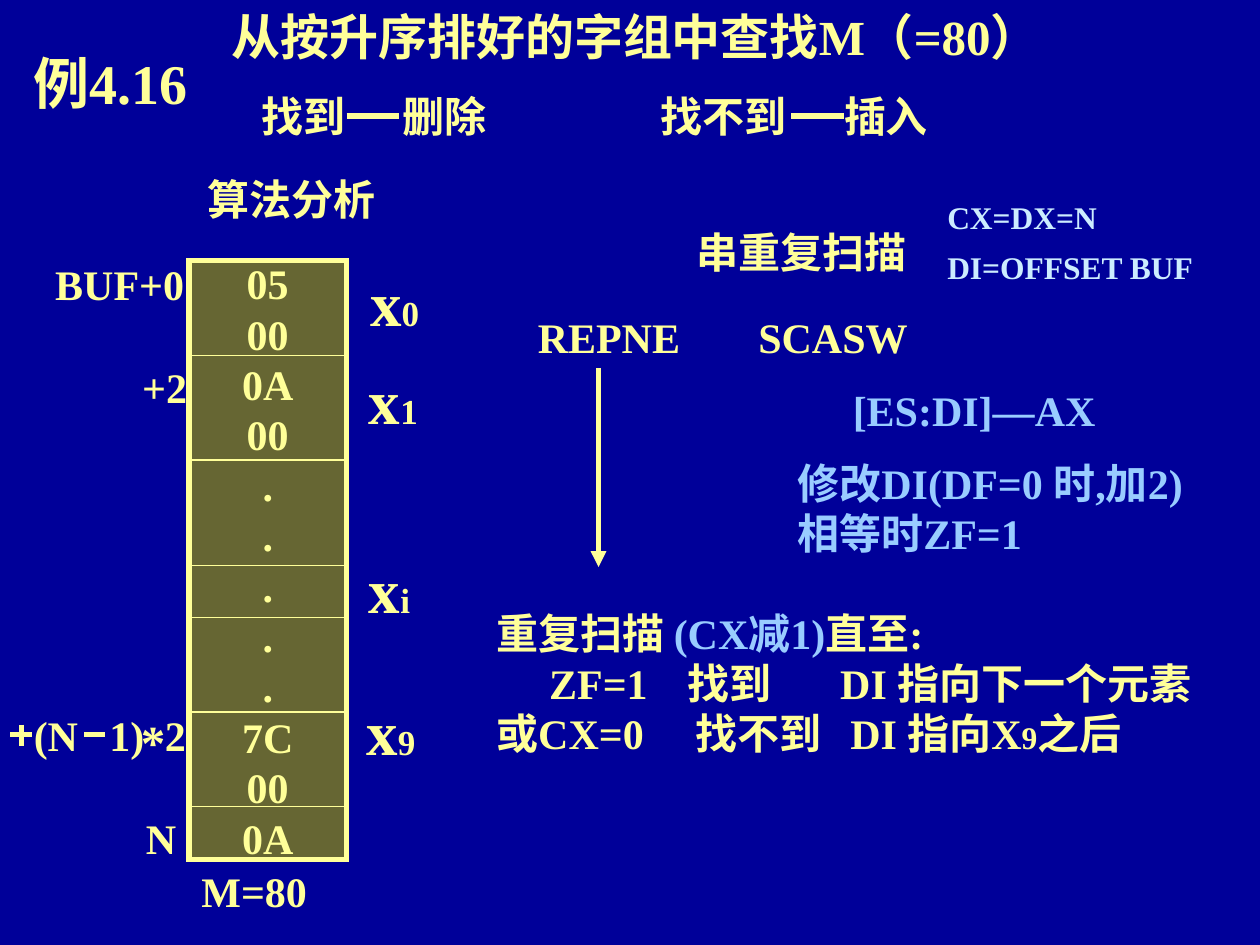
from dataclasses import dataclass
from pptx import Presentation
from pptx.dml.color import RGBColor as RGB
from pptx.enum.shapes import MSO_CONNECTOR as Link, MSO_SHAPE as Shape
from pptx.enum.text import MSO_ANCHOR as Anchor, PP_ALIGN as Align
from pptx.oxml.xmlchemy import OxmlElement as Element
from pptx.util import Inches, Pt


@dataclass(frozen=True)
class Theme:
    """Colours, type sizes and line widths of the slide."""
    font: str = "Times New Roman"
    back: str = "000099"
    main: str = "FFFF99"
    blue: str = "99CCFF"
    pale: str = "CCECFF"
    cell: str = "666633"
    note: int = 18
    sub: int = 20
    body: int = 24
    head: int = 28
    title: int = 32
    mark: int = 36
    thin: float = 0.75
    bold: float = 3


@dataclass(frozen=True)
class Box:
    """A place on the slide, in inches."""
    x: float
    y: float
    w: float
    h: float

    def sub(self, x, y, w, h):
        """Return a box placed relative to this one."""
        return Box(self.x + x, self.y + y, w, h)

    def size(self):
        """Return left, top, width and height as lengths."""
        return [Inches(v) for v in (self.x, self.y, self.w, self.h)]


T = Theme()


def add_tabs(para, stops):
    """Give a paragraph left tab stops, in inches."""
    tabs = Element("a:tabLst")
    for stop in stops:
        tab = Element("a:tab")
        tab.set("pos", str(Inches(stop)))
        tab.set("algn", "l")
        tabs.append(tab)
    para._p.get_or_add_pPr().append(tabs)


def fill_text(frame, rows, size=T.body, color=T.main, align=Align.LEFT,
              anchor=Anchor.TOP, tabs=(), lead=None, gap=None):
    """Write rows of runs; a run is text or (text, size, colour)."""
    frame.word_wrap = True
    frame.vertical_anchor = anchor
    for i, row in enumerate(rows):
        para = frame.add_paragraph() if i else frame.paragraphs[0]
        if i < len(tabs) and tabs[i]:
            add_tabs(para, tabs[i])
        para.alignment = align
        if lead:
            para.line_spacing = lead
        if gap and i:
            para.space_before = Pt(gap)
        for part in [row] if isinstance(row, str) else row:
            text, pts, tint = (part, size, color) if isinstance(part, str) else part
            run = para.add_run()
            run.text = text
            font = run.font
            font.name, font.size, font.bold = T.font, Pt(pts), True
            font.color.rgb = RGB.from_string(tint)


def write(slide, box, *rows, **form):
    """Add a text box."""
    fill_text(slide.shapes.add_textbox(*box.size()).text_frame, rows, **form)


def draw_line(slide, box, width=T.bold, arrow=False):
    """Draw a line from the top left to the bottom right of a box."""
    x, y, w, h = box.size()
    line = slide.shapes.add_connector(Link.STRAIGHT, x, y, x + w, y + h)
    line.line.color.rgb = RGB.from_string(T.main)
    line.line.width = Pt(width)
    if arrow:
        tail = Element("a:tailEnd")
        tail.set("type", "triangle")
        line.line._get_or_add_ln().append(tail)
    line._element.spPr.append(Element("a:effectLst"))


def add_head(slide, box):
    """Place the title, the task and its two outcomes."""
    write(slide, box.sub(0, 0.36, 1.75, 0.58), "例4.16", size=T.title,
          align=Align.CENTER, anchor=Anchor.MIDDLE)
    write(slide, box.sub(1.74, 0, 7.2, 0.57), "从按升序排好的字组中查找M（=80）", size=T.head)
    for x, w, text, stop, dash in ((1.98, 2.1, "找到\t删除", 1.12, 0.77),
                                   (5.14, 2.45, "找不到\t插入", 1.46, 1.14)):
        write(slide, box.sub(x, 0.67, w, 0.5), text, tabs=[[stop]])
        draw_line(slide, box.sub(x + dash, 0.92, 0.42, 0))
    write(slide, box.sub(1.55, 1.33, 1.95, 0.5), "算法分析")


def add_memory(slide, box):
    """Place the memory column with its addresses and element names."""
    column = slide.shapes.add_shape(Shape.RECTANGLE, *box.size())
    column.shadow.inherit = False
    column.fill.solid()
    column.fill.fore_color.rgb = RGB.from_string(T.cell)
    column.line.color.rgb = RGB.from_string(T.main)
    column.line.width = Pt(T.bold)
    column.line._get_or_add_ln().append(Element("a:miter"))
    cells = ["05", "00", "0A", "00", *".....", "7C", "00", "0A"]
    fill_text(column.text_frame, cells, align=Align.CENTER, anchor=Anchor.MIDDLE)
    for y in (0.75, 1.58, 2.42, 2.83, 3.58, 4.33):
        draw_line(slide, box.sub(0, y, box.w, 0), T.thin)
    for x, y, name in ((1.34, -0.03, "0"), (1.33, 0.75, "1"),
                       (1.33, 2.25, "i"), (1.31, 3.38, "9")):
        write(slide, box.sub(x, y, 0.7, 0.7), ["x", (name, T.sub, T.main)], size=T.mark)
    for x, y, w, text in ((-1.16, -0.07, 1.3, "BUF+0"), (-0.47, 0.75, 0.65, "+2"),
                          (-0.44, 4.33, 0.5, "N"), (0, 4.75, 1.15, "M=80")):
        write(slide, box.sub(x, y, w, 0.5), text)
    add_last(slide, box.sub(-1.42, 3.51, 1.5, 0.57))


def add_last(slide, box):
    """Place the address of the last element, its signs drawn as lines."""
    write(slide, box.sub(0.09, 0, 1.5, 0.5), "(N\t1)\t2", tabs=[[0.6, 1.04]])
    write(slide, box.sub(0.94, 0.02, 0.45, 0.57), "*", size=T.head)
    for x, y, w, h in ((0.59, 0.25, 0.16, 0), (0, 0.25, 0.17, 0), (0.09, 0.17, 0, 0.17)):
        draw_line(slide, box.sub(x, y, w, h))


def add_scan(slide, box):
    """Place the repeated string scan and its results."""
    write(slide, box.sub(1.59, 0.17, 2, 0.5), "串重复扫描")
    write(slide, box.sub(3.58, 0, 2.33, 0.74), "CX=DX=N", "DI=OFFSET BUF",
          size=T.note, color=T.pale, lead=0.8, gap=11.2)
    write(slide, box.sub(0.33, 0.84, 1.33, 0.5), "REPNE")
    write(slide, box.sub(2.08, 0.84, 1.5, 0.5), "SCASW")
    write(slide, box.sub(2.83, 1.42, 2.3, 0.5), "[ES:DI]—AX", color=T.blue)
    write(slide, box.sub(2.39, 2, 3.75, 0.9), "修改DI(DF=0 时,加2)", "相等时ZF=1", color=T.blue)
    draw_line(slide, box.sub(0.91, 1.34, 0, 1.58), arrow=True)
    write(slide, box.sub(0, 3.19, 6.1, 1.3),
          ["重复扫描 ", ("(CX减1)", T.body, T.blue), "直至:"],
          "\tZF=1\t找到\tDI 指向下一个元素",
          ["或CX=0\t找不到\tDI 指向X", ("9", T.note, T.main), "之后"],
          tabs=[[], [0.42, 1.52, 2.73], [1.58, 2.81]])


def main():
    """Build the slide and save it."""
    deck = Presentation()
    deck.slide_width, deck.slide_height = Inches(10), Inches(7.5)
    slide = deck.slides.add_slide(deck.slide_layouts[6])
    slide.background.fill.solid()
    slide.background.fill.fore_color.rgb = RGB.from_string(T.back)
    add_head(slide, Box(0, 0, 10, 1.83))
    add_memory(slide, Box(1.5, 2.07, 1.25, 4.75))
    add_scan(slide, Box(3.84, 1.58, 6.1, 4.49))
    deck.save("out.pptx")


if __name__ == "__main__":
    main()
